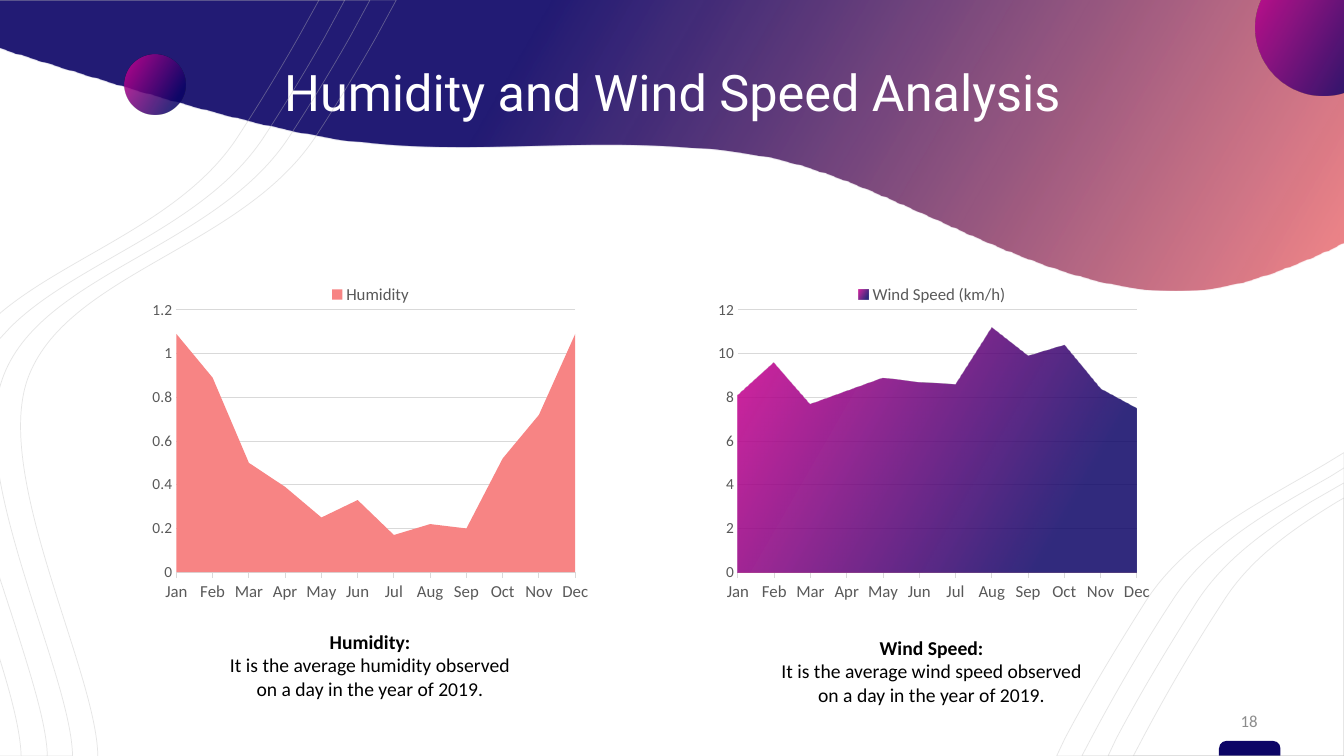
from lxml.etree import SubElement
from pptx import Presentation
from pptx.chart.data import CategoryChartData as Data
from pptx.dml.color import RGBColor as Rgb
from pptx.enum.chart import XL_CHART_TYPE as Kind
from pptx.enum.chart import XL_LEGEND_POSITION as Spot
from pptx.enum.chart import XL_TICK_MARK as Tick
from pptx.enum.shapes import MSO_SHAPE as Form
from pptx.enum.text import MSO_ANCHOR as Anchor
from pptx.enum.text import MSO_AUTO_SIZE as Size
from pptx.enum.text import PP_ALIGN as Align
from pptx.oxml import parse_xml
from pptx.oxml.ns import nsdecls, qn
from pptx.util import Pt

PX = 9144
NAVY, PINK, CORAL = "0C0466", "D30392", "F78484"
GREY, RULE, INK = "BFBFBF", "D9D9D9", "595959"
WAVE = [(36, NAVY, 90), (100, CORAL, 95)]
GLOW = [(0, PINK, 86), (81, NAVY, 84)]
MONTHS = "Jan Feb Mar Apr May Jun Jul Aug Sep Oct Nov Dec".split()
DAMP = (1.09, 0.89, 0.5, 0.39, 0.25, 0.33, 0.17, 0.22, 0.2, 0.52, 0.72, 1.09)
WIND = (8.1, 9.6, 7.7, 8.3, 8.9, 8.7, 8.6, 11.2, 9.9, 10.4, 8.4, 7.5)
NONE = (None,) * len(MONTHS)

CREST = """M 0 0 L 1333 0 L 1333 240 L 1319 247 C 1281 264 1247 277 1217 283
C 1057 317 897 178 750 154 C 603 130 467 158 333 138
C 233 122 102 80 15 53 L 0 48"""

RIGHT = [
    """M 1333 479 L 1333 750 L 1099 750 L 1107 733 C 1135 680 1165 632 1187 597
    C 1215 554 1257 525 1300 498""",
    """M 1333 494 L 1333 750 L 1124 750 L 1133 733 C 1161 680 1190 632 1213 597
    C 1240 554 1282 525 1326 498""",
    """M 1333 449 L 1333 750 L 1048 750 L 1056 733 C 1084 680 1114 632 1136 597
    C 1177 533 1251 498 1315 460""",
    """M 1335 463 L 1335 750 L 1073 750 L 1082 733 C 1110 680 1139 632 1162 597
    C 1198 540 1261 506 1319 473""",
]

LEFT = [
    """M -2 568 L 15 620 C 31 671 46 718 47 749 L 46 752 L -2 752
    M -2 0 L 342 0 L 322 37 C 301 74 280 108 263 134
    C 204 226 76 259 10 325 L -2 338""",
    """M -3 644 L -3 645 C 10 686 20 723 21 749 L 21 752 L -3 752
    M -3 -1 L 317 -1 L 296 37 C 275 74 254 108 237 134
    C 183 219 69 253 1 310 L -3 314""",
    """M -2 0 L 393 0 L 373 37 C 352 74 331 108 314 134
    C 241 247 64 271 27 377 C -6 474 95 665 97 749 L 97 752 L -2 752""",
    """M -3 449 L -2 464 C 13 563 70 686 72 749 L 72 750 L -3 750
    M -3 0 L 367 0 L 347 37 C 326 74 305 108 288 134
    C 216 247 38 271 2 377 C 0 383 -2 390 -3 396 L -3 399""",
]


def tint(code):
    """Turn a hex string into a colour."""
    return Rgb.from_string(code)


def trace(route):
    """Turn a route of M, L and C steps into loops of points and the steps drawn."""
    loops, steps, words = [], [], iter(route.split())
    for step in words:
        nums = [int(next(words)) * PX for _ in range(6 if step == "C" else 2)]
        ends = list(zip(nums[::2], nums[1::2]))
        if step == "M":
            loops.append(ends)
        else:
            loops[-1] += ends
            steps.append(step)
    return loops, steps


class Deck:
    """Hold the style and the current slide."""

    def __init__(self, wide, high):
        """Open a blank slide of the given size."""
        self.file = Presentation()
        self.file.slide_width, self.file.slide_height = wide * PX, high * PX
        self.page = self.file.slides.add_slide(self.file.slide_layouts[6])
        self.font = "Calibri"

    def fade(self, node, query, parts):
        """Set the opacity of the colours that a query finds."""
        for hue, part in zip(node.xpath(query), parts):
            SubElement(hue, qn("a:alpha")).set("val", str(part * 1000))

    def paint(self, fill, node, look):
        """Fill with one colour or with gradient stops."""
        if isinstance(look, str):
            fill.solid()
            fill.fore_color.rgb = tint(look)
            return
        fill.gradient()
        fill.gradient_angle = 330
        for stop, (place, code, _) in zip(fill.gradient_stops, look):
            stop.position, stop.color.rgb = place / 100, tint(code)
        self.fade(node, ".//a:gs/a:srgbClr", [part for _, _, part in look])

    def dress(self, shape, look):
        """Give a shape its fill, or a faint outline when it has none."""
        shape.shadow.inherit = False
        if look:
            self.paint(shape.fill, shape._element, look)
            shape.line.fill.background()
            return
        shape.fill.background()
        shape.line.color.rgb, shape.line.width = tint(GREY), Pt(0.5)
        self.fade(shape._element, ".//a:ln//a:srgbClr", [40])

    def shape(self, form, box, look):
        """Add a preset shape."""
        shape = self.page.shapes.add_shape(form, *(n * PX for n in box))
        self.dress(shape, look)
        return shape

    def curve(self, home, route, look=None):
        """Add a closed outline with true curves."""
        loops, steps = trace(route)
        pen = home.build_freeform(*loops[0][0], scale=1.0)
        for i, loop in enumerate(loops):
            if i:
                pen.move_to(*loop[0])
            pen.add_line_segments(loop[1:], close=True)
        shape = pen.convert_to_shape()
        lines = iter(shape._element.xpath(".//a:lnTo"))
        for step in steps:
            line = next(lines)
            if step == "C":
                line.tag = qn("a:cubicBezTo")
                for _ in range(2):
                    more = next(lines)
                    line.append(more[0])
                    more.getparent().remove(more)
        self.dress(shape, look)

    def strands(self, routes):
        """Add a group of faint outlines."""
        group = self.page.shapes.add_group_shape()
        for route in routes:
            self.curve(group.shapes, route)

    def text(self, words, box, size, code, font=None, space=None):
        """Add centred text and return its frame."""
        frame = self.page.shapes.add_textbox(*(n * PX for n in box)).text_frame
        frame.word_wrap, frame.vertical_anchor = True, Anchor.MIDDLE
        frame.text = words
        for para in frame.paragraphs:
            para.alignment, para.line_spacing = Align.CENTER, space
            for run in para.runs:
                run.font.size, run.font.name = Pt(size), font or self.font
                run.font.color.rgb = tint(code)
        return frame

    def note(self, head, body, box):
        """Add a caption with a bold heading."""
        frame = self.text(head + "\n" + body, box, 14, "000000")
        frame.margin_left = frame.margin_right = 0
        frame.margin_top = frame.margin_bottom = 0
        frame.auto_size = Size.SHAPE_TO_FIT_TEXT
        frame.paragraphs[0].runs[0].font.bold = True

    def type(self, font, size, code):
        """Set the type of a chart part."""
        font.name, font.size, font.color.rgb = self.font, Pt(size), tint(code)

    def chart(self, rows, box, unit, mute):
        """Add an area chart of monthly values, with one legend entry muted."""
        data = Data()
        data.categories = MONTHS
        for name, vals in rows:
            data.add_series(name, vals)
        chart = self.page.shapes.add_chart(
            Kind.AREA, *(n * PX for n in box), data).chart
        self.type(chart.font, 10, "000000")
        chart.has_title, chart.has_legend = False, True
        chart.legend.position, chart.legend.include_in_layout = Spot.TOP, False
        self.type(chart.legend.font, 12, INK)
        chart.legend._element.insert(1, parse_xml(
            f'<c:legendEntry {nsdecls("c")}><c:idx val="{mute}"/>'
            '<c:delete val="1"/></c:legendEntry>'))
        plot = chart.plots[0]
        plot.vary_by_categories = False
        for row, look in zip(plot.series, (CORAL, GLOW)):
            self.paint(row.format.fill, row._element, look)
        cat, val = chart.category_axis, chart.value_axis
        for axis, size, mark in ((cat, 12, Tick.OUTSIDE), (val, 11, Tick.NONE)):
            self.type(axis.tick_labels.font, size, INK)
            axis.major_tick_mark, axis.minor_tick_mark = mark, Tick.NONE
        cat.has_major_gridlines, val.has_major_gridlines = False, True
        for line in (cat.format.line, val.major_gridlines.format.line):
            line.color.rgb, line.width = tint(RULE), Pt(0.75)
        val.format.line.fill.background()
        val.minimum_scale, val.maximum_scale, val.major_unit = 0, 6 * unit, unit
        area = chart._chartSpace.chart.plotArea
        for old in area.findall(qn("c:layout")):
            area.remove(old)
        area.insert(0, parse_xml(
            f'<c:layout {nsdecls("c")}><c:manualLayout><c:layoutTarget val="inner"/>'
            '<c:xMode val="edge"/><c:yMode val="edge"/><c:x val="0.098"/>'
            '<c:y val="0.108"/><c:w val="0.826"/><c:h val="0.77"/>'
            '</c:manualLayout></c:layout>'))


def main():
    """Build the slide."""
    deck = Deck(1333, 750)
    tab = deck.shape(Form.ROUND_2_SAME_RECTANGLE, (1209, 735, 61, 15), NAVY)
    tab.adjustments[0] = 0.5
    deck.strands(RIGHT)
    deck.curve(deck.page.shapes, CREST, WAVE)
    deck.text("Humidity and Wind Speed Analysis", (71, 48, 1192, 93), 36,
              "FFFFFF", "Roboto", 0.9)
    deck.text("18", (1216, 695, 46, 40), 12, "8C8C8C")
    for box in ((1245, -40, 135, 135), (124, 54, 60, 60)):
        deck.shape(Form.OVAL, box, GLOW)
    tail = "observed\non a day in the year of 2019."
    deck.note("Wind Speed:", f"It is the average wind speed {tail}", (703, 630, 442, 71))
    deck.strands(LEFT)
    deck.note("Humidity:", f"It is the average humidity {tail}", (146, 624, 442, 71))
    deck.chart([("Humidity", DAMP), ("Series 2", NONE)], (128, 271, 479, 338), 0.2, 1)
    deck.chart([("Series 1", NONE), ("Wind Speed (km/h)", WIND)],
               (685, 271, 479, 338), 2, 0)
    deck.file.save("out.pptx")


if __name__ == "__main__":
    main()
